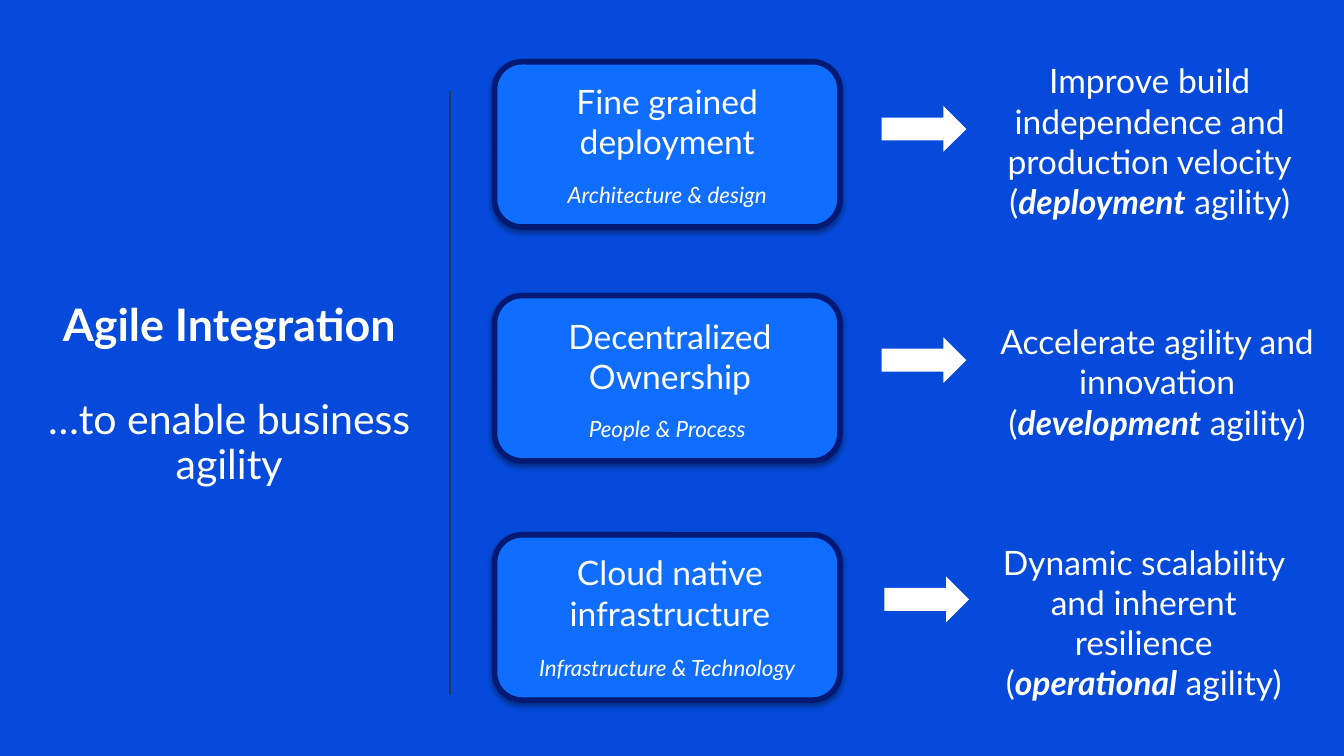
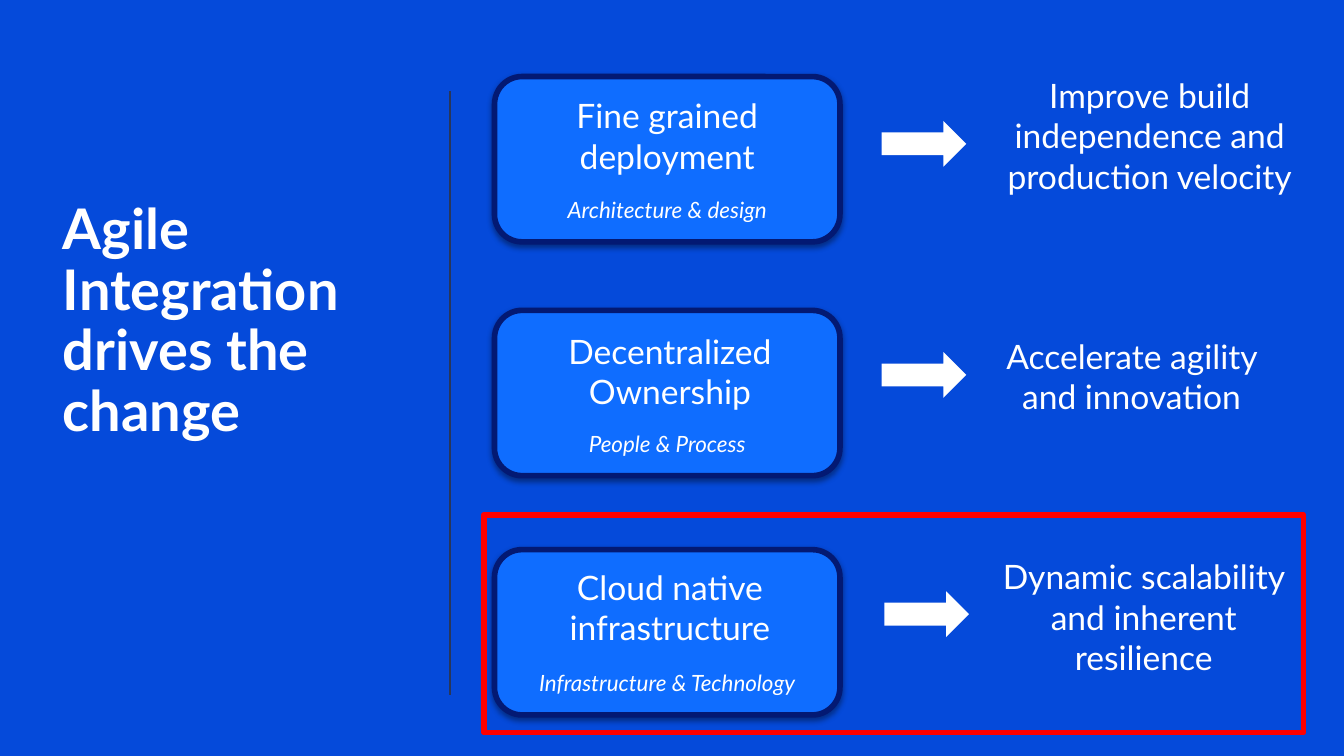
from dataclasses import dataclass

from lxml import etree
from pptx import Presentation
from pptx.dml.color import RGBColor
from pptx.enum.shapes import MSO_CONNECTOR, MSO_SHAPE
from pptx.enum.text import MSO_ANCHOR, PP_ALIGN
from pptx.oxml import parse_xml
from pptx.oxml.ns import nsdecls, qn
from pptx.util import Inches, Pt

CENTER, LEFT = PP_ALIGN.CENTER, PP_ALIGN.LEFT
TOP, MIDDLE, BOTTOM = MSO_ANCHOR.TOP, MSO_ANCHOR.MIDDLE, MSO_ANCHOR.BOTTOM
CARD, ARROW = MSO_SHAPE.ROUNDED_RECTANGLE, MSO_SHAPE.RIGHT_ARROW
STRAIGHT = MSO_CONNECTOR.STRAIGHT


@dataclass(frozen=True)
class Theme:
    font: str = "Lato"
    background: str = "054ADA"
    card: str = "0F6DFF"
    card_border: str = "031973"
    divider: str = "293659"
    ink: str = "FFFFFF"
    highlight: str = "FF0000"
    headline: int = 30
    title: int = 24
    subtitle: int = 22
    body: int = 18
    caption: int = 12
    border: int = 3


THEME = Theme()

# "lines" counts the lines the outcome fills; "nudge" shifts the arrow and outcome of a row.
PILLARS = [
    {"name": ["Fine grained deployment"], "field": "Architecture & design",
     "outcome": "Improve build independence and production velocity",
     "agility": "deployment", "lines": 3,
     "top": 0.46, "name_at": (3.93, 0.09), "outcome_at": (7.27, -0.06), "arrow_at": (6.56, 0.33)},
    {"name": ["Decentralized Ownership"], "field": "People & Process",
     "outcome": "Accelerate agility and innovation",
     "agility": "development", "lines": 2,
     "top": 2.2, "name_at": (3.95, 0.1), "outcome_at": (7.29, 0.14), "arrow_at": (6.56, 0.31)},
    {"name": ["Cloud native", "infrastructure"], "field": "Infrastructure & Technology",
     "outcome": "Dynamic scalability and inherent resilience",
     "agility": "operational", "lines": 3,
     "top": 3.98, "name_at": (3.95, 0.08), "outcome_at": (7.19, 0), "arrow_at": (6.58, 0.31)},
]

SLIDES = [
    {"title": [("Agile Integration", {"size": THEME.title, "bold": True}),
               ("…to enable business agility", {"size": THEME.subtitle, "before": 26})],
     "title_at": (0.16, 0.35, 3.09, 5.18), "align": CENTER, "anchor": MIDDLE,
     "shift": 0, "show_agility": True, "outcome_widths": (2.57, 2.64, 2.64), "framed": None},
    {"title": [("Agile Integration drives the change", {"size": THEME.headline, "bold": True})],
     "title_at": (0.37, 1.45, 2.8, 2.52), "align": LEFT, "anchor": TOP,
     "shift": 0.11, "show_agility": False, "outcome_widths": (2.57, 2.26, 2.64), "framed": 2},
]

CARD_LEFT, CARD_WIDTH, CARD_HEIGHT, CARD_PAD = 3.68, 2.57, 1.23, 0.06
CAPTION_INSET = 0.08
NAME_WIDTH = 2.07
ARROW_SIZE = (0.63, 0.34)
DIVIDER = (3.35, 0.68, 5.17)
FRAME_LEFT, FRAME_RISE, FRAME_SIZE = 3.6, 0.26, (6.1, 1.62)


def inches(lengths):
    return [Inches(length) for length in lengths]


def text_height(lines):
    """Height of a body text box with default insets."""
    return 0.3 * lines + 0.1


def add_text(shapes, at, paragraphs, align=CENTER, anchor=TOP, inset=None,
             spacing=None, **defaults):
    """Each paragraph is a list of (text, format) runs; defaults apply to every run."""
    frame = shapes.add_textbox(*inches(at)).text_frame
    frame.word_wrap = True
    frame.vertical_anchor = anchor
    if inset is not None:
        frame.margin_left = frame.margin_right = Inches(inset)
        frame.margin_top = frame.margin_bottom = Inches(inset)
    for index, runs in enumerate(paragraphs):
        paragraph = frame.add_paragraph() if index else frame.paragraphs[0]
        paragraph.alignment = align
        if spacing:
            paragraph.line_spacing = spacing
        for text, own in runs:
            style = {"size": THEME.body, **defaults, **own}
            if "before" in style:
                paragraph.space_before = Pt(style["before"])
            run = paragraph.add_run()
            run.text = text
            run.font.name = THEME.font
            run.font.size = Pt(style["size"])
            run.font.bold = style.get("bold", False)
            run.font.italic = style.get("italic", False)
            run.font.color.rgb = RGBColor.from_string(THEME.ink)


def add_box(shapes, kind, at, fill=None, border=None):
    box = shapes.add_shape(kind, *inches(at))
    box.shadow.inherit = False
    if fill:
        box.fill.solid()
        box.fill.fore_color.rgb = RGBColor.from_string(fill)
    else:
        box.fill.background()
    if border:
        box.line.color.rgb = RGBColor.from_string(border)
        box.line.width = Pt(THEME.border)
    else:
        box.line.fill.background()
    return box


def drop_shadow(box):
    effects = box._element.spPr.find(qn("a:effectLst"))
    effects.append(parse_xml(
        f'<a:outerShdw {nsdecls("a")} blurRad="{Pt(3.1)}" dist="{Pt(1.6)}" dir="5400000" '
        'rotWithShape="0"><a:srgbClr val="000000"><a:alpha val="38000"/></a:srgbClr>'
        '</a:outerShdw>'))


def add_divider(shapes):
    x, top, bottom = DIVIDER
    divider = shapes.add_connector(STRAIGHT, *inches((x, top, x, bottom)))
    divider.line.color.rgb = RGBColor.from_string(THEME.divider)
    divider.line.width = Pt(1)
    etree.SubElement(divider._element.spPr, qn("a:effectLst"))


def add_card(shapes, pillar, top):
    card = shapes.add_group_shape().shapes
    drop_shadow(add_box(card, CARD, (CARD_LEFT, top, CARD_WIDTH, CARD_HEIGHT),
                        THEME.card, THEME.card_border))
    caption_at = (CARD_LEFT + 0.08, top + CARD_PAD,
                  CARD_WIDTH - 0.16, CARD_HEIGHT - 2 * CARD_PAD)
    add_text(card, caption_at, [[(pillar["field"], {})]], anchor=BOTTOM,
             inset=CAPTION_INSET, spacing=0.9, size=THEME.caption, italic=True)
    name_left, name_drop = pillar["name_at"]
    add_text(shapes, (name_left, top + name_drop, NAME_WIDTH, text_height(2)),
             [[(line, {})] for line in pillar["name"]])


def add_outcome(shapes, pillar, top, width, show_agility):
    arrow_left, arrow_drop = pillar["arrow_at"]
    add_box(shapes, ARROW, (arrow_left, top + arrow_drop, *ARROW_SIZE), THEME.ink)
    paragraphs = [[(pillar["outcome"], {})]]
    if show_agility:
        paragraphs.append([("(", {}), (pillar["agility"], {"bold": True, "italic": True}),
                           (" agility)", {})])
    left, drop = pillar["outcome_at"]
    height = text_height(pillar["lines"] + show_agility)
    add_text(shapes, (left, top + drop, width, height), paragraphs)


def build_slide(deck, content):
    slide = deck.slides.add_slide(deck.slide_layouts[6])
    slide.background.fill.solid()
    slide.background.fill.fore_color.rgb = RGBColor.from_string(THEME.background)
    shapes = slide.shapes
    add_divider(shapes)
    add_text(shapes, content["title_at"], [[run] for run in content["title"]],
             align=content["align"], anchor=content["anchor"], spacing=0.9)
    for pillar, width in zip(PILLARS, content["outcome_widths"]):
        top = pillar["top"] + content["shift"]
        add_card(shapes, pillar, top)
        add_outcome(shapes, pillar, top, width, content["show_agility"])
    if content["framed"] is not None:
        top = PILLARS[content["framed"]]["top"] + content["shift"] - FRAME_RISE
        frame = add_box(shapes, CARD, (FRAME_LEFT, top, *FRAME_SIZE), border=THEME.highlight)
        frame.adjustments[0] = 0


def main():
    deck = Presentation()
    deck.slide_width = Inches(10)
    deck.slide_height = deck.slide_width * 9 // 16
    for content in SLIDES:
        build_slide(deck, content)
    deck.save("out.pptx")


if __name__ == "__main__":
    main()
